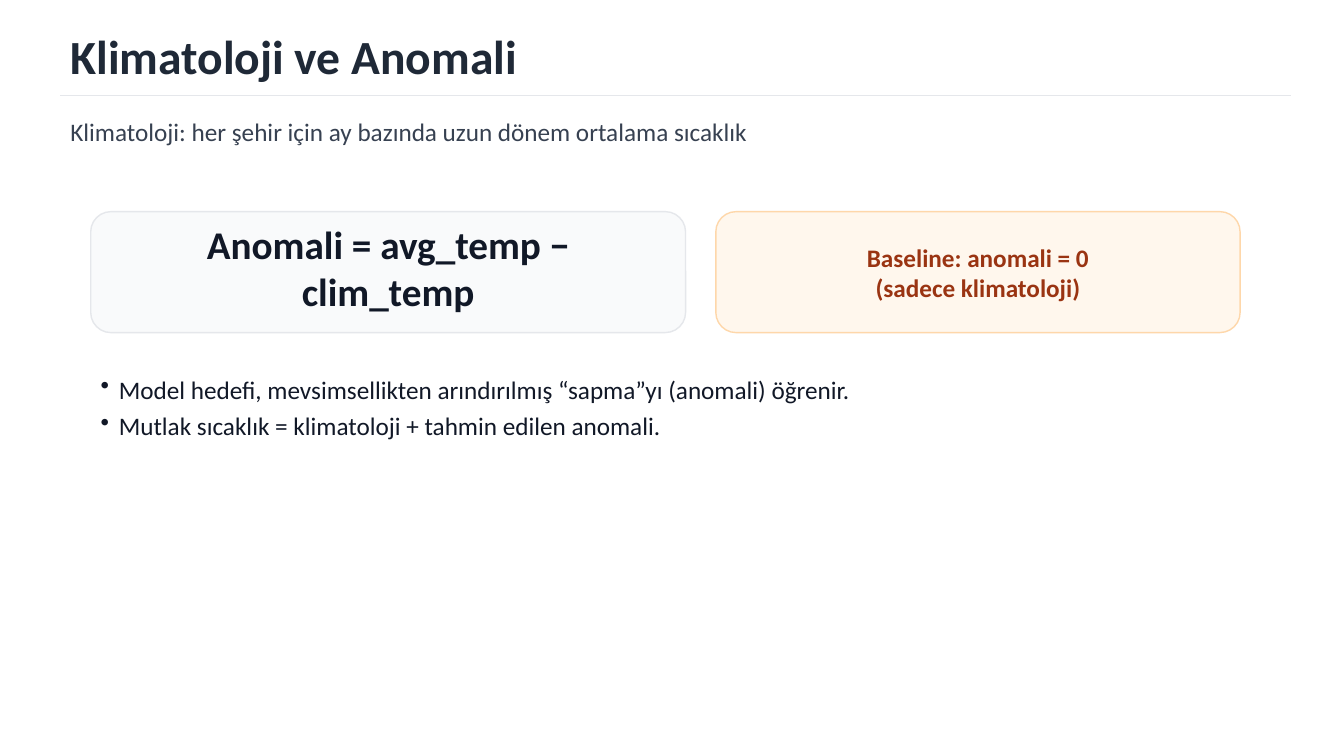
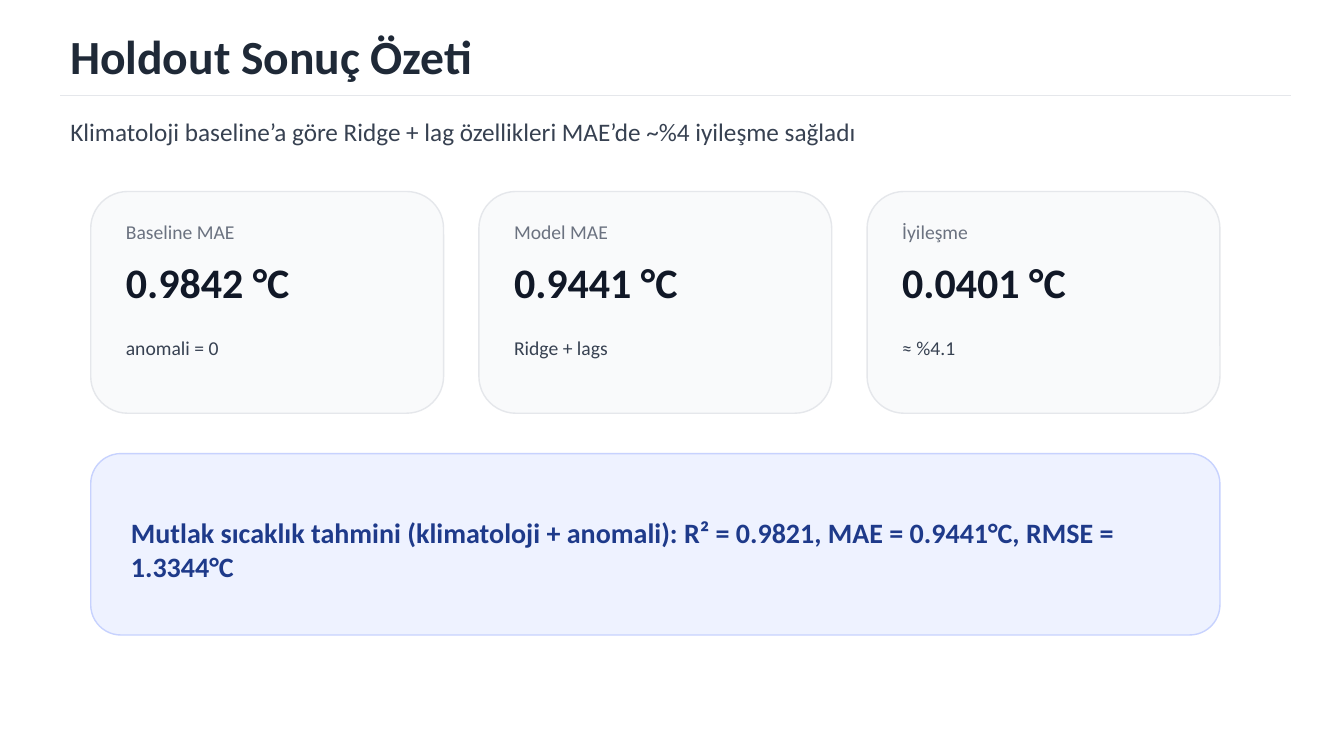
from lxml.etree import SubElement
from pptx import Presentation
from pptx.dml.color import RGBColor
from pptx.enum.shapes import MSO_CONNECTOR, MSO_SHAPE
from pptx.enum.text import MSO_ANCHOR, PP_ALIGN
from pptx.oxml.ns import qn
from pptx.util import Inches, Pt

FONT = "Calibri"
COLORS = {
    "title": "1F2937", "body": "374151", "strong": "111827", "muted": "6B7280",
    "rule": "E5E7EB", "card": "F9FAFB",
    "orange_fill": "FFF7ED", "orange_line": "FED7AA", "orange_text": "9A3412",
    "blue_fill": "EEF2FF", "blue_line": "C7D2FE", "blue_text": "1E3A8A",
}

ANOMALY = {
    "title": "Klimatoloji ve Anomali",
    "subtitle": "Klimatoloji: her şehir için ay bazında uzun dönem ortalama sıcaklık",
    "formula": "Anomali = avg_temp − clim_temp",
    "baseline": ["Baseline: anomali = 0", "(sadece klimatoloji)"],
    "bullets": [
        "Model hedefi, mevsimsellikten arındırılmış “sapma”yı (anomali) öğrenir.",
        "Mutlak sıcaklık = klimatoloji + tahmin edilen anomali.",
    ],
}
RESULTS = {
    "title": "Holdout Sonuç Özeti",
    "subtitle": "Klimatoloji baseline’a göre Ridge + lag özellikleri MAE’de ~%4 iyileşme sağladı",
    "metrics": [
        ("Baseline MAE", "0.9842 °C", "anomali = 0"),
        ("Model MAE", "0.9441 °C", "Ridge + lags"),
        ("İyileşme", "0.0401 °C", "≈ %4.1"),
    ],
    "summary": "Mutlak sıcaklık tahmini (klimatoloji + anomali): "
               "R² = 0.9821, MAE = 0.9441°C, RMSE = 1.3344°C",
}

CARD_LEFT, CARD_TOP, CARD_WIDTH, CARD_HEIGHT, CARD_GAP = 0.9, 1.9, 3.5, 2.2, 0.35
CARD_PADDING = 0.25
# Top offset inside the card, height, and format of each metric line
METRIC_LINES = [
    (0.25, 0.3, {"size": 14, "color": "muted"}),
    (0.55, 0.7, {"size": 30, "color": "strong", "bold": True}),
    (1.35, 0.4, {"size": 14, "color": "body"}),
]


def rgb(name):
    return RGBColor.from_string(COLORS[name])


def make_bullet(paragraph, indent=0.18):
    properties = paragraph._p.get_or_add_pPr()
    properties.set("marL", str(Inches(indent)))
    properties.set("indent", str(-Inches(indent)))
    SubElement(properties, qn("a:buChar"), char="•")


def add_text(slide, text, left, top, width, height, *, size=18, color="body", bold=False,
             align=PP_ALIGN.LEFT, anchor=MSO_ANCHOR.MIDDLE, bullets=False, spacing=None):
    """Add a text box; a list of strings gives one paragraph each."""
    box = slide.shapes.add_textbox(Inches(left), Inches(top), Inches(width), Inches(height))
    frame = box.text_frame
    frame.word_wrap = True
    frame.vertical_anchor = anchor
    lines = [text] if isinstance(text, str) else text
    for index, line in enumerate(lines):
        paragraph = frame.add_paragraph() if index else frame.paragraphs[0]
        paragraph.alignment = align
        if spacing:
            paragraph.line_spacing = spacing
        if bullets:
            make_bullet(paragraph)
        run = paragraph.add_run()
        run.text = line
        run.font.name = FONT
        run.font.size = Pt(size)
        run.font.bold = bold
        run.font.color.rgb = rgb(color)


def add_card(slide, left, top, width, height, fill="card", line="rule"):
    shape = slide.shapes.add_shape(MSO_SHAPE.ROUNDED_RECTANGLE, Inches(left), Inches(top),
                                   Inches(width), Inches(height))
    shape.shadow.inherit = False
    shape.fill.solid()
    shape.fill.fore_color.rgb = rgb(fill)
    shape.line.color.rgb = rgb(line)
    shape.line.width = Pt(1)


def add_slide(presentation, content):
    """Add a blank slide with the shared title, rule and subtitle."""
    slide = presentation.slides.add_slide(presentation.slide_layouts[6])
    add_text(slide, content["title"], 0.6, 0.25, 12.2, 0.6, size=34, color="title", bold=True)
    rule = slide.shapes.add_connector(MSO_CONNECTOR.STRAIGHT, Inches(0.6), Inches(0.95),
                                      Inches(12.8), Inches(0.95))
    rule.line.color.rgb = rgb("rule")
    rule.line.width = Pt(1)
    SubElement(rule._element.spPr, qn("a:effectLst"))
    add_text(slide, content["subtitle"], 0.6, 1.05, 12.2, 0.5)
    return slide


def build_anomaly(presentation):
    slide = add_slide(presentation, ANOMALY)
    add_card(slide, CARD_LEFT, 2.1, 5.9, 1.2)
    add_text(slide, ANOMALY["formula"], 1.1, 2.35, 5.5, 0.6, size=28, color="strong",
             bold=True, align=PP_ALIGN.CENTER)
    add_card(slide, 7.1, 2.1, 5.2, 1.2, "orange_fill", "orange_line")
    add_text(slide, ANOMALY["baseline"], 7.2, 2.25, 5, 0.9, color="orange_text",
             bold=True, align=PP_ALIGN.CENTER)
    add_text(slide, ANOMALY["bullets"], CARD_LEFT, 3.6, 11.7, 3.6, color="strong",
             anchor=MSO_ANCHOR.TOP, bullets=True, spacing=1.2)


def build_results(presentation):
    slide = add_slide(presentation, RESULTS)
    for column, metric in enumerate(RESULTS["metrics"]):
        left = CARD_LEFT + column * (CARD_WIDTH + CARD_GAP)
        add_card(slide, left, CARD_TOP, CARD_WIDTH, CARD_HEIGHT)
        for text, (offset, height, style) in zip(metric, METRIC_LINES):
            add_text(slide, text, left + CARD_PADDING, CARD_TOP + offset,
                     CARD_WIDTH - 2 * CARD_PADDING, height, **style)
    count = len(RESULTS["metrics"])
    total_width = count * CARD_WIDTH + (count - 1) * CARD_GAP
    add_card(slide, CARD_LEFT, 4.5, total_width, 1.8, "blue_fill", "blue_line")
    add_text(slide, RESULTS["summary"], CARD_LEFT + 0.3, 4.85, total_width - 0.6, 1.2,
             size=20, color="blue_text", bold=True)


def main():
    presentation = Presentation()
    presentation.slide_width = Inches(13.33)
    presentation.slide_height = Inches(7.5)
    build_anomaly(presentation)
    build_results(presentation)
    presentation.save("out.pptx")


if __name__ == "__main__":
    main()
